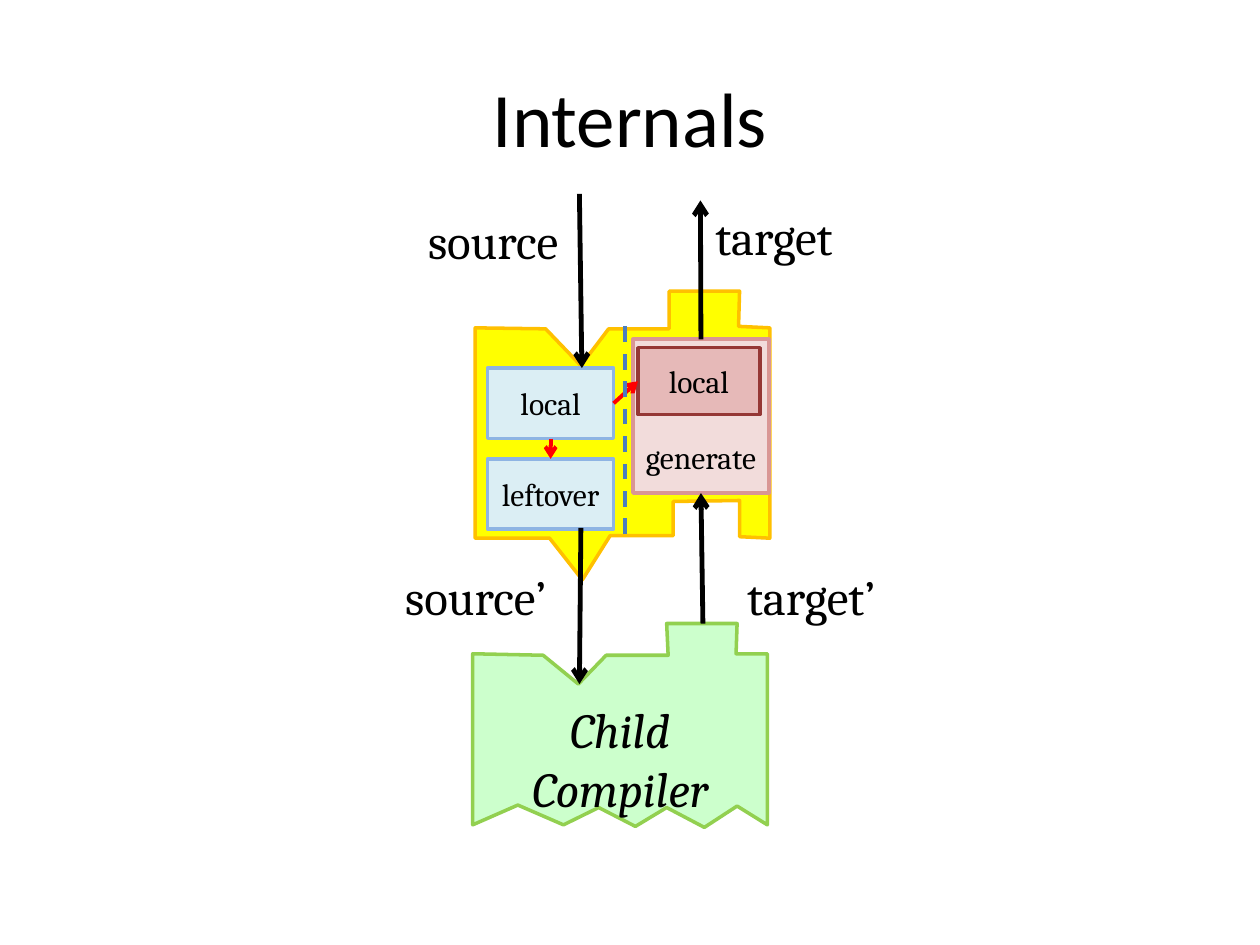
from lxml import etree
from pptx import Presentation
from pptx import util as u
from pptx.dml.color import RGBColor
from pptx.enum import dml, shapes, text
from pptx.oxml.ns import qn

COLORS = {
    "ink": "000000", "arrow": "FF0000", "divider": "4B7EBC",
    "compiler": "FFFF00", "compiler_edge": "FFC000",
    "child": "CCFFCC", "child_edge": "92D050",
    "source": "DBEEF4", "source_edge": "8EB4E3",
    "target": "F2DCDB", "target_edge": "D99694",
    "local": "E6B9B8", "local_edge": "953735",
}
COMPILER = [
    (0, 0.74), (1.42, 0.76), (2.13, 1.5), (2.69, 0.76), (3.91, 0.76), (3.91, 0),
    (5.33, 0), (5.31, 0.71), (5.94, 0.74), (5.94, 4.98), (5.33, 4.95), (5.33, 4.22),
    (3.99, 4.24), (3.99, 4.93), (2.72, 4.93), (2.16, 5.82), (1.5, 4.98), (0, 4.98),
]
CHILD = [
    (0, 0.61), (1.42, 0.64), (2.13, 1.22), (2.69, 0.64), (3.94, 0.64), (3.91, 0),
    (5.33, 0), (5.31, 0.61), (5.94, 0.61), (5.94, 4.06), (5.33, 3.68), (4.67, 4.11),
    (3.91, 3.71), (3.28, 4.09), (2.54, 3.71), (1.83, 4.06), (0.91, 3.66), (0, 4.06),
]


def rgb(name):
    """Return the named colour."""
    return RGBColor.from_string(COLORS[name])


def write(sp, content, size=18, font="Cambria", italic=False,
          align=text.PP_ALIGN.CENTER, anchor=text.MSO_ANCHOR.MIDDLE, wrap=True, top=0.13):
    """Fill a shape with formatted text, one paragraph per line."""
    tf = sp.text_frame
    tf.word_wrap = wrap
    tf.vertical_anchor = anchor
    tf.margin_top = u.Cm(top)
    for i, line in enumerate(content.split("\n")):
        p = tf.paragraphs[0] if i == 0 else tf.add_paragraph()
        p.alignment = align
        r = p.add_run()
        r.text = line
        r.font.size = u.Pt(size)
        r.font.name = font
        r.font.italic = italic
        r.font.color.rgb = rgb("ink")


def paint(sp, color):
    """Give a shape its fill and matching edge."""
    sp.shadow.inherit = False
    sp.fill.solid()
    sp.fill.fore_color.rgb = rgb(color)
    sp.line.color.rgb = rgb(color + "_edge")
    sp.line.width = u.Pt(2)


def outline(s, x, y, points, color):
    """Draw a closed polygon whose points are relative to x, y."""
    points = [(u.Cm(px), u.Cm(py)) for px, py in points]
    builder = s.shapes.build_freeform(*points[0])
    builder.add_line_segments(points[1:], close=True)
    sp = builder.convert_to_shape(u.Cm(x), u.Cm(y))
    paint(sp, color)
    return sp


def box(s, x, y, w, h, label, color, **fmt):
    """Draw a labelled rectangle."""
    sp = s.shapes.add_shape(shapes.MSO_SHAPE.RECTANGLE, u.Cm(x), u.Cm(y), u.Cm(w), u.Cm(h))
    paint(sp, color)
    write(sp, label, **fmt)
    return sp


def connect(s, begin, end, color="ink", width=2.75, dash=None):
    """Draw a line between points or (shape, side) pairs; undashed ones are arrows."""
    points = [(0, 0) if hasattr(a, "shape_id") else (u.Cm(a), u.Cm(b)) for a, b in (begin, end)]
    c = s.shapes.add_connector(shapes.MSO_CONNECTOR.STRAIGHT, *points[0], *points[1])
    for (a, b), join in ((begin, c.begin_connect), (end, c.end_connect)):
        if hasattr(a, "shape_id"):
            join(a, b)
    c.line.color.rgb = rgb(color)
    c.line.width = u.Pt(width)
    props = c._element.spPr
    if dash:
        c.line.dash_style = dash
    else:
        etree.SubElement(props.find(qn("a:ln")), qn("a:tailEnd"), type="arrow")
    etree.SubElement(props, qn("a:effectLst"))


def title(s, x, y, w, h):
    """Place and format the slide title."""
    sp = s.shapes.title
    sp.left, sp.top, sp.width, sp.height = (u.Cm(v) for v in (x, y, w, h))
    write(sp, "Internals", size=44, font="Calibri")


def compiler(s, x, y):
    """Draw the compiler with its parts and return the generate box."""
    outline(s, x, y, COMPILER, "compiler")
    generate = box(s, x + 3.18, y + 0.97, 2.74, 3.1, "generate", "target", wrap=False, top=1.75)
    local, leftover = [
        box(s, x + 0.25, y + dy, 2.54, 1.42, label, "source", wrap=wrap)
        for dy, label, wrap in ((1.55, "local", True), (3.38, "leftover", False))
    ]
    inner = box(s, x + 3.28, y + 1.14, 2.46, 1.35, "local", "local")
    connect(s, (local, 2), (leftover, 0), "arrow", 2.25)
    connect(s, (local, 3), (inner, 1), "arrow", 2.25)
    connect(s, (x + 3.02, y + 0.71), (x + 3.02, y + 4.9), "divider", 2.25,
            dml.MSO_LINE.DASH)
    return generate


def child(s, x, y):
    """Draw the child compiler."""
    sp = outline(s, x, y, CHILD, "child")
    write(sp, "Child\nCompiler", size=28, italic=True, top=1.45)


def flows(s, x, y, generate):
    """Draw the labelled arrows into and out of the compilers."""
    connect(s, (x + 3.76, y), (x + 3.81, y + 3.51))
    connect(s, (x + 3.79, y + 6.73), (x + 3.76, y + 9.88))
    connect(s, (x + 6.25, y + 8.66), (generate, 2))
    connect(s, (generate, 0), (x + 6.2, y + 0.13))
    for label, dx, dy, w in (("source", 0.46, 0.2, 3.35), ("target", 6.25, 0.13, 3.07),
                             ("source’", 0, 7.39, 3.58), ("target’", 6.89, 7.39, 3.28)):
        sp = s.shapes.add_textbox(u.Cm(x + dx), u.Cm(y + dy), u.Cm(w), u.Cm(1.45))
        write(sp, label, size=28, align=text.PP_ALIGN.LEFT, anchor=text.MSO_ANCHOR.TOP, wrap=False)
        sp.text_frame.auto_size = text.MSO_AUTO_SIZE.SHAPE_TO_FIT_TEXT


def main():
    """Build and save the slide."""
    prs = Presentation()
    prs.slide_width, prs.slide_height = u.Cm(25.4), u.Cm(19.05)
    s = prs.slides.add_slide(prs.slide_layouts[5])
    title(s, 1.27, 0.76, 22.86, 3.18)
    generate = compiler(s, 9.58, 5.87)
    child(s, 9.53, 12.57)
    flows(s, 7.92, 3.91, generate)
    prs.save("out.pptx")


if __name__ == "__main__":
    main()
